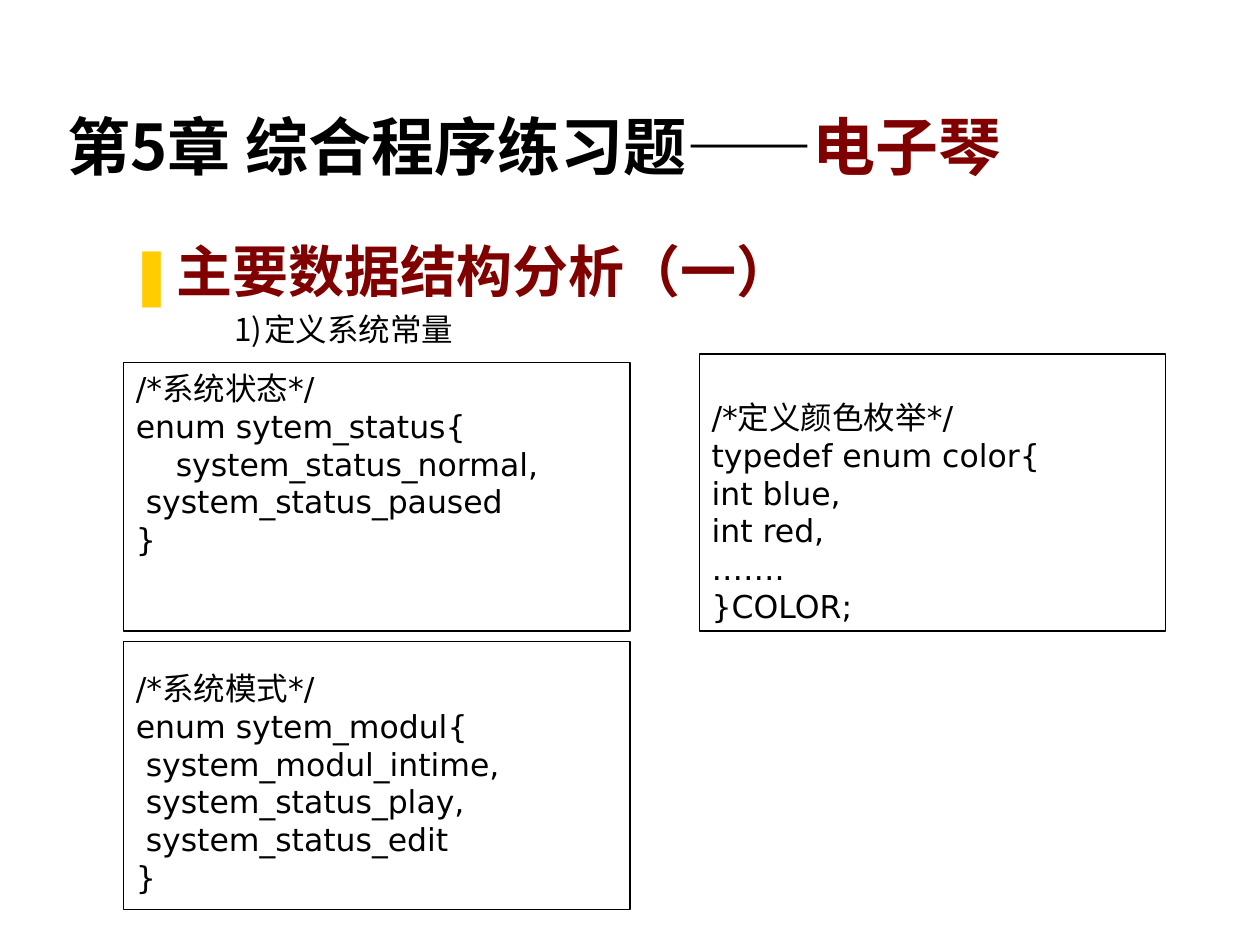
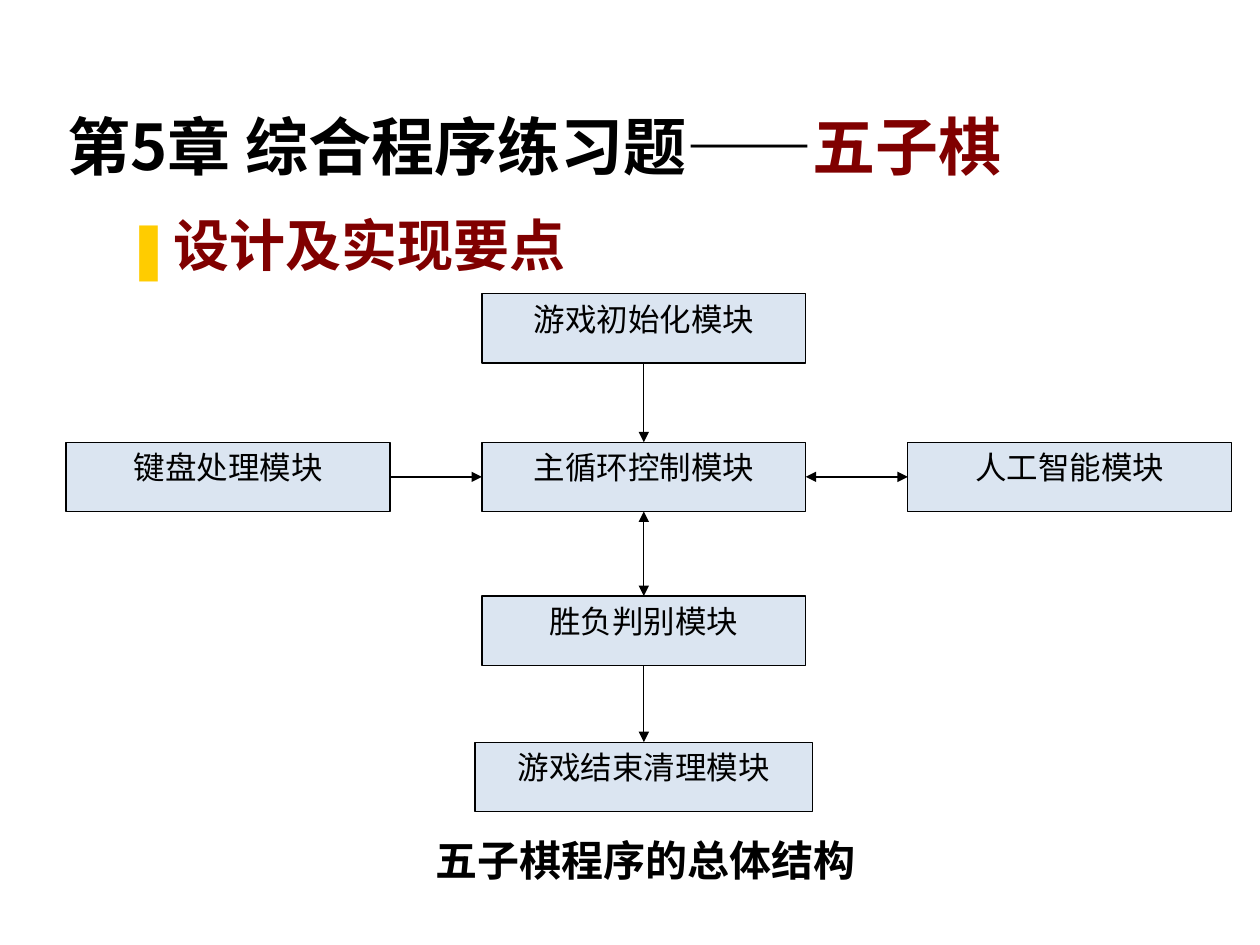
from lxml.etree import SubElement
from pptx import Presentation
from pptx.dml.color import RGBColor
from pptx.enum.shapes import MSO_CONNECTOR, MSO_SHAPE
from pptx.enum.text import MSO_ANCHOR, PP_ALIGN
from pptx.oxml.ns import qn
from pptx.util import Inches, Pt

BLACK = RGBColor(0x00, 0x00, 0x00)
WHITE = RGBColor(0xFF, 0xFF, 0xFF)
MAROON = RGBColor(0x80, 0x00, 0x00)
GOLD = RGBColor(0xFF, 0xCC, 0x00)
PALE_BLUE = RGBColor(0xDB, 0xE5, 0xF1)

CHINESE_FONT = "Noto Sans CJK SC"
TITLE = {"name": CHINESE_FONT, "size": Pt(36), "bold": True}
HEADING = {"name": "Lato", "size": Pt(32), "bold": True}
ITEM = {"name": CHINESE_FONT, "size": Pt(18)}
CODE = {"name": "DejaVu Sans", "size": Pt(18)}
NODE = {"name": "Times New Roman", "size": Pt(18)}
CAPTION = {"name": "Times New Roman", "size": Pt(24), "bold": True}

TOP, LEFT, BOTTOM, RIGHT = range(4)
NODE_HEIGHT = 0.55

STATUS_CODE = """/*系统状态*/
enum sytem_status{
    system_status_normal,
 system_status_paused
}"""
MODE_CODE = """/*系统模式*/
enum sytem_modul{
 system_modul_intime,
 system_status_play,
 system_status_edit
}"""
COLOR_CODE = """/*定义颜色枚举*/
typedef enum color{
int blue,
int red,
…….
}COLOR;"""


def apply(target, values):
    for name, value in values.items():
        setattr(target, name, value)


def add_span(para, text, style, color=BLACK):
    span = para.add_run()
    span.text = text
    apply(span.font, style)
    span.font.color.rgb = color
    SubElement(span.font._element, qn("a:ea"), typeface=CHINESE_FONT)


def add_bullet(para, kind, values, color, margin, indent):
    properties = para._p.get_or_add_pPr()
    properties.set("marL", str(Inches(margin)))
    properties.set("indent", str(Inches(indent)))
    tint = SubElement(properties, qn("a:buClr"))
    SubElement(tint, qn("a:srgbClr"), val=str(color))
    SubElement(properties, qn("a:buFont"), typeface=CHINESE_FONT)
    SubElement(properties, qn(kind), values)


def add_text_box(page, area, anchor=MSO_ANCHOR.TOP):
    box = page.shapes.add_textbox(*map(Inches, area))
    apply(box.text_frame, {"word_wrap": True, "vertical_anchor": anchor})
    return box.text_frame.paragraphs[0]


def add_title(page, topic):
    para = add_text_box(page, (0.44, 0.25, 8.5, 1.25), MSO_ANCHOR.BOTTOM)
    add_span(para, "第5章 综合程序练习题——", TITLE)
    add_span(para, topic, TITLE, MAROON)


def add_heading(page, text, left, top):
    para = add_text_box(page, (left, top, 8.83, 0.69))
    add_bullet(para, "a:buChar", {"char": "❚"}, GOLD, 0.38, -0.38)
    add_span(para, text, HEADING, MAROON)


def add_numbered_item(page, text):
    para = add_text_box(page, (0, 2.41, 4.33, 0.7))
    add_bullet(para, "a:buAutoNum", {"type": "arabicParenR"}, BLACK, 2, -0.24)
    add_span(para, text, ITEM)


def add_panel(page, kind, area, fill, line=BLACK):
    box = page.shapes.add_shape(kind, *map(Inches, area))
    box.shadow.inherit = False
    box.fill.solid()
    box.fill.fore_color.rgb = fill
    box.line.color.rgb = line
    box.line.width = Pt(0.75)
    apply(box.text_frame, {"word_wrap": True, "vertical_anchor": MSO_ANCHOR.TOP})
    return box


def add_code_box(page, area, code, top_inset=0.05):
    frame = add_panel(page, MSO_SHAPE.RECTANGLE, area, WHITE).text_frame
    frame.margin_top = Inches(top_inset)
    for index, line in enumerate(code.splitlines()):
        para = frame.add_paragraph() if index else frame.paragraphs[0]
        para.alignment = PP_ALIGN.LEFT
        add_span(para, line, CODE)


def add_node(page, text, center, top, width=2.57):
    area = (center - width / 2, top, width, NODE_HEIGHT)
    box = add_panel(page, MSO_SHAPE.FLOWCHART_PROCESS, area, PALE_BLUE)
    para = box.text_frame.paragraphs[0]
    para.alignment = PP_ALIGN.CENTER
    add_span(para, text, NODE)
    return box


def add_arrow(page, start, start_side, end, end_side, both_ways=False):
    arrow = page.shapes.add_connector(MSO_CONNECTOR.STRAIGHT, 0, 0, 0, 0)
    arrow.begin_connect(start, start_side)
    arrow.end_connect(end, end_side)
    arrow.line.color.rgb = BLACK
    arrow.line.width = Pt(0.75)
    line = arrow.line._get_or_add_ln()
    if both_ways:
        SubElement(line, qn("a:headEnd"), type="triangle")
    SubElement(line, qn("a:tailEnd"), type="triangle")
    SubElement(arrow._element.spPr, qn("a:effectLst"))


def add_caption(page, text):
    box = add_panel(page, MSO_SHAPE.RECTANGLE, (3.0, 6.51, 4.25, 0.63), WHITE, WHITE)
    apply(box.text_frame, {"word_wrap": False, "vertical_anchor": MSO_ANCHOR.MIDDLE})
    para = box.text_frame.paragraphs[0]
    para.alignment = PP_ALIGN.CENTER
    add_span(para, text, CAPTION)


def build_keyboard_page(page):
    add_title(page, "电子琴")
    add_heading(page, "主要数据结构分析（一）", 0.92, 1.83)
    add_code_box(page, (0.98, 2.88, 4.02, 2.13), STATUS_CODE)
    add_code_box(page, (0.98, 5.09, 4.02, 2.13), MODE_CODE, 0.22)
    add_code_box(page, (5.55, 2.81, 3.7, 2.2), COLOR_CODE, 0.35)
    add_numbered_item(page, "定义系统常量")


def build_gomoku_page(page):
    add_title(page, "五子棋")
    add_heading(page, "设计及实现要点", 0.9, 1.62)
    middle = 5.11
    setup = add_node(page, "游戏初始化模块", middle, 2.33)
    control = add_node(page, "主循环控制模块", middle, 3.51)
    keyboard = add_node(page, "键盘处理模块", 1.81, 3.51)
    judge = add_node(page, "胜负判别模块", middle, 4.73)
    opponent = add_node(page, "人工智能模块", 8.49, 3.51)
    cleanup = add_node(page, "游戏结束清理模块", middle, 5.89, 2.68)
    add_arrow(page, setup, BOTTOM, control, TOP)
    add_arrow(page, keyboard, RIGHT, control, LEFT)
    add_arrow(page, control, BOTTOM, judge, TOP, both_ways=True)
    add_arrow(page, judge, BOTTOM, cleanup, TOP)
    add_arrow(page, control, RIGHT, opponent, LEFT, both_ways=True)
    add_caption(page, "五子棋程序的总体结构")


def main():
    deck = Presentation()
    apply(deck, {"slide_width": Inches(10), "slide_height": Inches(7.5)})
    for build in (build_keyboard_page, build_gomoku_page):
        build(deck.slides.add_slide(deck.slide_layouts[6]))
    deck.save("out.pptx")


if __name__ == "__main__":
    main()
